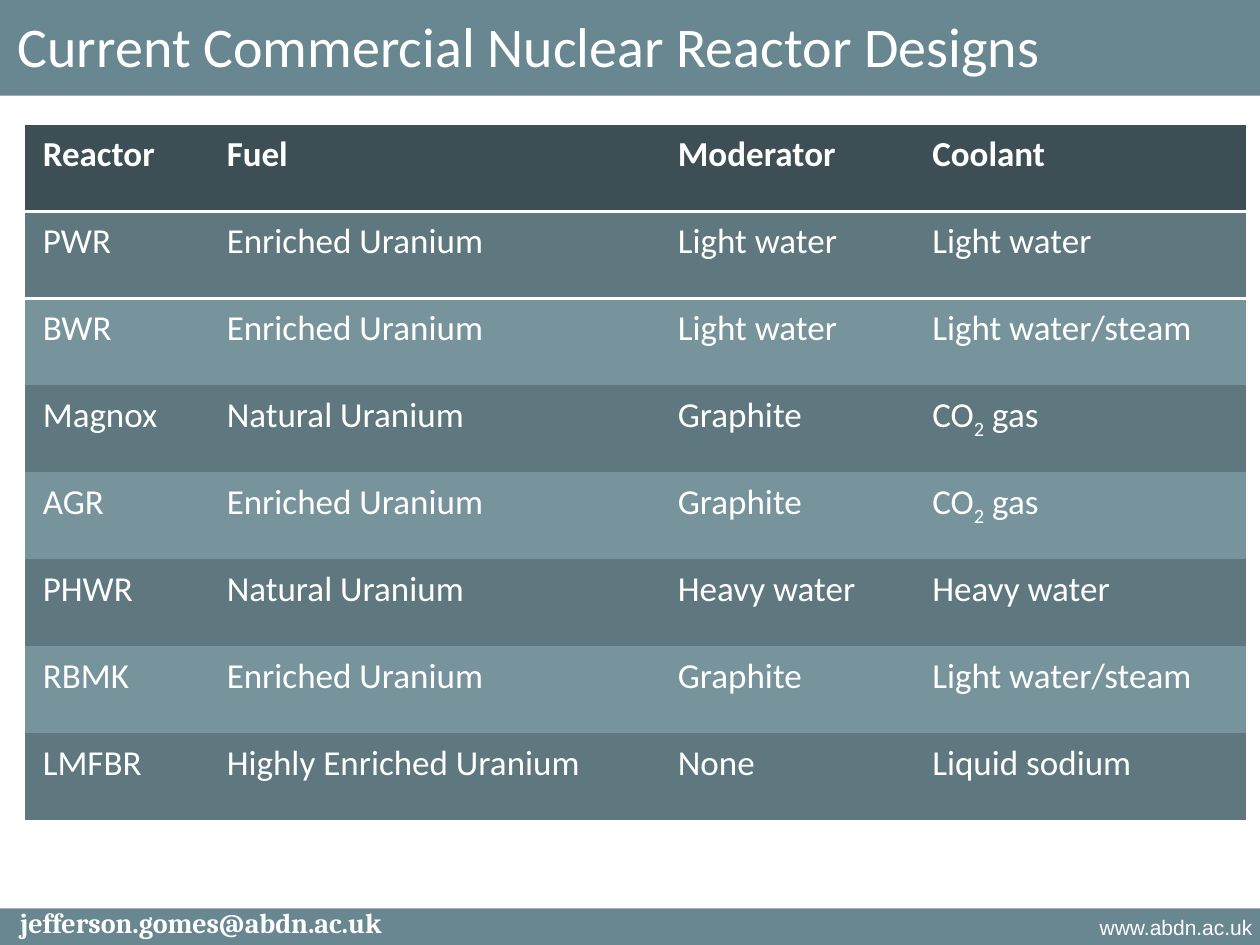
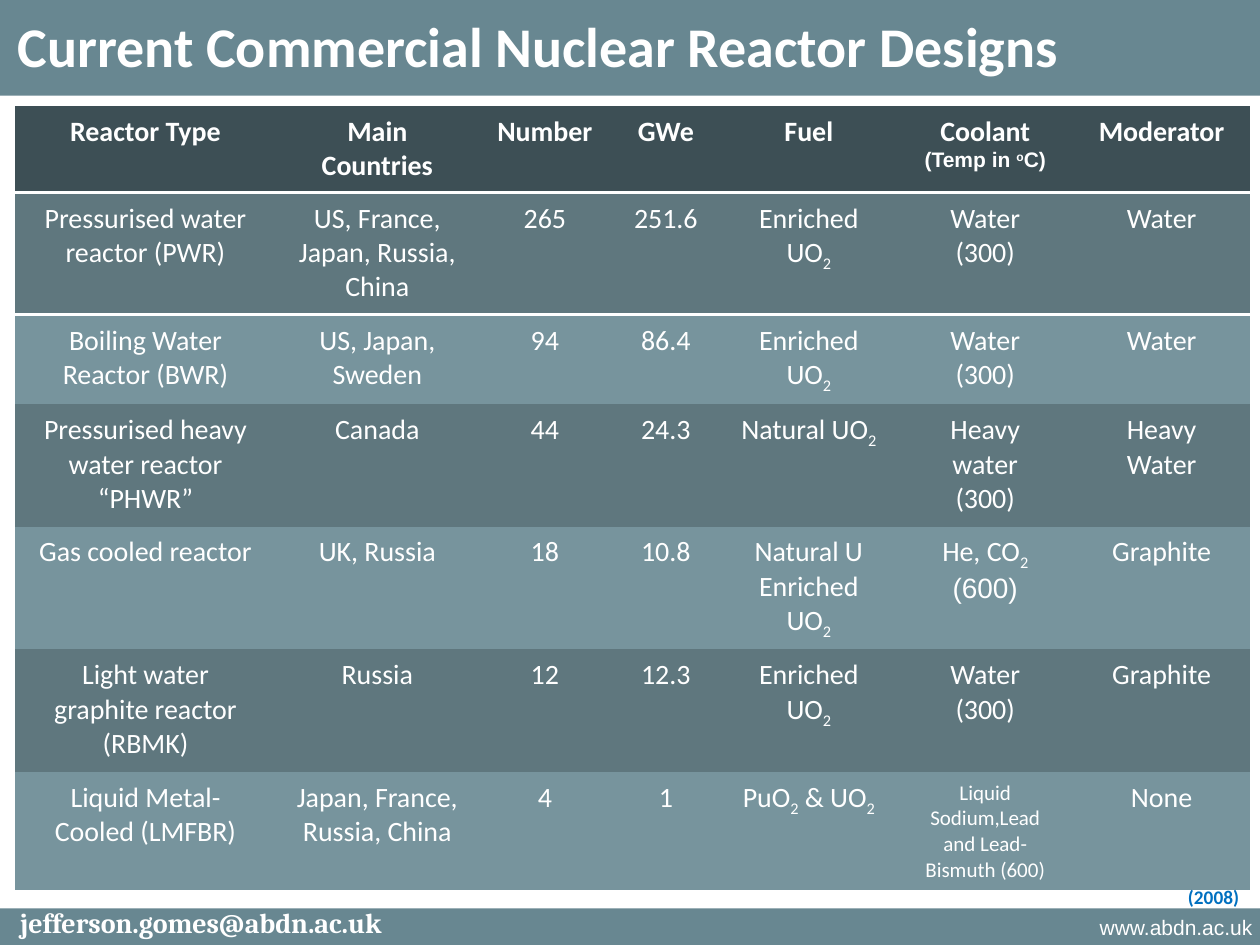
import pptx
import pptx.dml.color
import pptx.enum.shapes
import pptx.enum.text
import pptx.oxml
import pptx.oxml.ns
import pptx.util

Inches = pptx.util.Inches
Pt = pptx.util.Pt
ALIGN = pptx.enum.text.PP_ALIGN
BAND, HEADER, ROWS = "688791", "3D4F55", ["77949D", "5F777E"]
WHITE, BLUE = "FFFFFF", "0070C0"
NO_GRID = "{2D5ABB26-0587-4C30-8999-92F81FD0307C}"
HEADING = "Current Commercial Nuclear Reactor Designs"

special_lines = {
    "(Temp in ^o^C)": {"name": "Arial", "size": Pt(12)},
    "(600)": {"name": "Arial"},
    "Liquid Sodium,Lead and Lead-Bismuth (600)": {"size": Pt(12)},
}


def rgb(code):
    return pptx.dml.color.RGBColor.from_string(code)


def write(frame, text, look, align=ALIGN.LEFT, color=WHITE):
    for number, line in enumerate(text.split("\n")):
        paragraph = frame.add_paragraph() if number else frame.paragraphs[0]
        paragraph.alignment = align
        mark, shift = ("^", "30000") if "^" in line else ("~", "-25000")
        for position, piece in enumerate(line.split(mark)):
            if not piece:
                continue
            run = paragraph.add_run()
            run.text = piece
            for attribute, value in {**look, **special_lines.get(line, {})}.items():
                setattr(run.font, attribute, value)
            run.font.color.rgb = rgb(color)
            if position % 2:
                run.font._element.set("baseline", shift)


designs = [
    ["Reactor", "Fuel", "Moderator", "Coolant"],
    ["PWR", "Enriched Uranium", "Light water", "Light water"],
    ["BWR", "Enriched Uranium", "Light water", "Light water/steam"],
    ["Magnox", "Natural Uranium", "Graphite", "CO~2~ gas"],
    ["AGR", "Enriched Uranium", "Graphite", "CO~2~ gas"],
    ["PHWR", "Natural Uranium", "Heavy water", "Heavy water"],
    ["RBMK", "Enriched Uranium", "Graphite", "Light water/steam"],
    ["LMFBR", "Highly Enriched Uranium", "None", "Liquid sodium"],
]
fleet = [
    ["Reactor Type", "Main Countries", "Number", "GWe", "Fuel",
     "Coolant\n(Temp in ^o^C)", "Moderator"],
    ["Pressurised water reactor (PWR)", "US, France, Japan, Russia, China", "265", "251.6",
     "Enriched UO~2~", "Water\n(300)", "Water"],
    ["Boiling Water Reactor (BWR)", "US, Japan, Sweden", "94", "86.4",
     "Enriched UO~2~", "Water\n(300)", "Water"],
    ["Pressurised heavy water reactor “PHWR”", "Canada", "44", "24.3",
     "Natural UO~2~", "Heavy water\n(300)", "Heavy Water"],
    ["Gas cooled reactor", "UK, Russia", "18", "10.8",
     "Natural U\nEnriched UO~2~", "He, CO~2~\n(600)", "Graphite"],
    ["Light water graphite reactor (RBMK)", "Russia", "12", "12.3",
     "Enriched UO~2~", "Water\n(300)", "Graphite"],
    ["Liquid Metal-Cooled (LMFBR)", "Japan, France, Russia, China", "4", "1",
     "PuO~2~ & UO~2~", "Liquid Sodium,Lead and Lead-Bismuth (600)", "None"],
]
pages = [
    {"rows": designs, "left": 0.2, "top": 0.99, "widths": [1.46, 3.58, 2.02, 2.63],
     "heights": [0.69] * 8, "size": 20, "align": ALIGN.LEFT, "bold": False},
    {"rows": fleet, "left": 0.12, "top": 0.84, "widths": [2.07, 1.61, 1.05, 0.87] + [1.4] * 3,
     "heights": [0.69, 0.97, 0.69, 0.97, 0.97, 0.97, 0.69], "size": 16,
     "align": ALIGN.CENTER, "bold": True},
]

deck = pptx.Presentation()
deck.slide_width, deck.slide_height = Inches(10), Inches(7.5)
layout = deck.slide_layouts[5]
slides = [deck.slides.add_slide(layout) for page in pages]

shared = []
for top, height in [(7.21, 0.29), (0, 0.76)]:
    band = slides[0].shapes.add_shape(
        pptx.enum.shapes.MSO_SHAPE.RECTANGLE, 0, Inches(top), Inches(10), Inches(height))
    band.shadow.inherit = False
    band.fill.solid()
    band.fill.fore_color.rgb = rgb(BAND)
    band.line.fill.background()
    shared.append(band)
website = slides[0].shapes.add_textbox(Inches(7.44), Inches(7.21), Inches(2.6), Inches(0.36))
website.text_frame.word_wrap = True
write(website.text_frame, "www.abdn.ac.uk", {"name": "Arial", "size": Pt(12)}, ALIGN.RIGHT)
shared.append(website)
for depth, part in enumerate(shared, 2):
    layout.shapes.element.insert(depth, part.element)

for slide, page in zip(slides, pages):
    heading = slide.shapes.title
    heading.left, heading.top = Inches(0.04), Inches(0.04)
    heading.width, heading.height = Inches(8.65), Inches(0.64)
    heading.text_frame.word_wrap = False
    heading.text_frame.auto_size = pptx.enum.text.MSO_AUTO_SIZE.SHAPE_TO_FIT_TEXT
    heading.text_frame.vertical_anchor = pptx.enum.text.MSO_ANCHOR.TOP
    write(heading.text_frame, HEADING,
          {"name": "Calibri", "size": Pt(32), "bold": page["bold"]})

    email = slide.shapes.add_textbox(0, Inches(7.17), Inches(3.19), Inches(0.33))
    email.text_frame.word_wrap = True
    write(email.text_frame, "jefferson.gomes@abdn.ac.uk",
          {"name": "Cambria", "size": Pt(16), "bold": True}, ALIGN.CENTER)
    email.text_frame.paragraphs[0].line_spacing = 0.9

    rows, widths, heights = page["rows"], page["widths"], page["heights"]
    grid = slide.shapes.add_table(
        len(rows), len(widths), Inches(page["left"]), Inches(page["top"]),
        Inches(sum(widths)), Inches(sum(heights)))
    next(grid.element.iter(pptx.oxml.ns.qn("a:tableStyleId"))).text = NO_GRID
    reactors = grid.table
    for column, width in zip(reactors.columns, widths):
        column.width = Inches(width)
    for r, values in enumerate(rows):
        reactors.rows[r].height = Inches(heights[r])
        for c, value in enumerate(values):
            cell = reactors.cell(r, c)
            cell.margin_left = cell.margin_right = Inches(0.14)
            cell.margin_top = cell.margin_bottom = Inches(0.07)
            cell.fill.solid()
            cell.fill.fore_color.rgb = rgb(ROWS[r % 2] if r else HEADER)
            write(cell.text_frame, value,
                  {"name": "Calibri", "size": Pt(page["size"]), "bold": r == 0}, page["align"])
            if r < 2:
                side = "lnT" if r else "lnB"
                rule = pptx.oxml.parse_xml(
                    f'<a:{side} {pptx.oxml.ns.nsdecls("a")} w="{Pt(2)}"><a:solidFill>'
                    f'<a:srgbClr val="{WHITE}"/></a:solidFill></a:{side}>')
                cell._tc.get_or_add_tcPr().insert(0, rule)

year = slides[1].shapes.add_textbox(Inches(9.33), Inches(6.98), Inches(0.61), Inches(0.29))
year.text_frame.word_wrap = False
year.text_frame.auto_size = pptx.enum.text.MSO_AUTO_SIZE.SHAPE_TO_FIT_TEXT
write(year.text_frame, "(2008)", {"name": "Calibri", "size": Pt(11), "bold": True}, color=BLUE)

deck.save("out.pptx")
